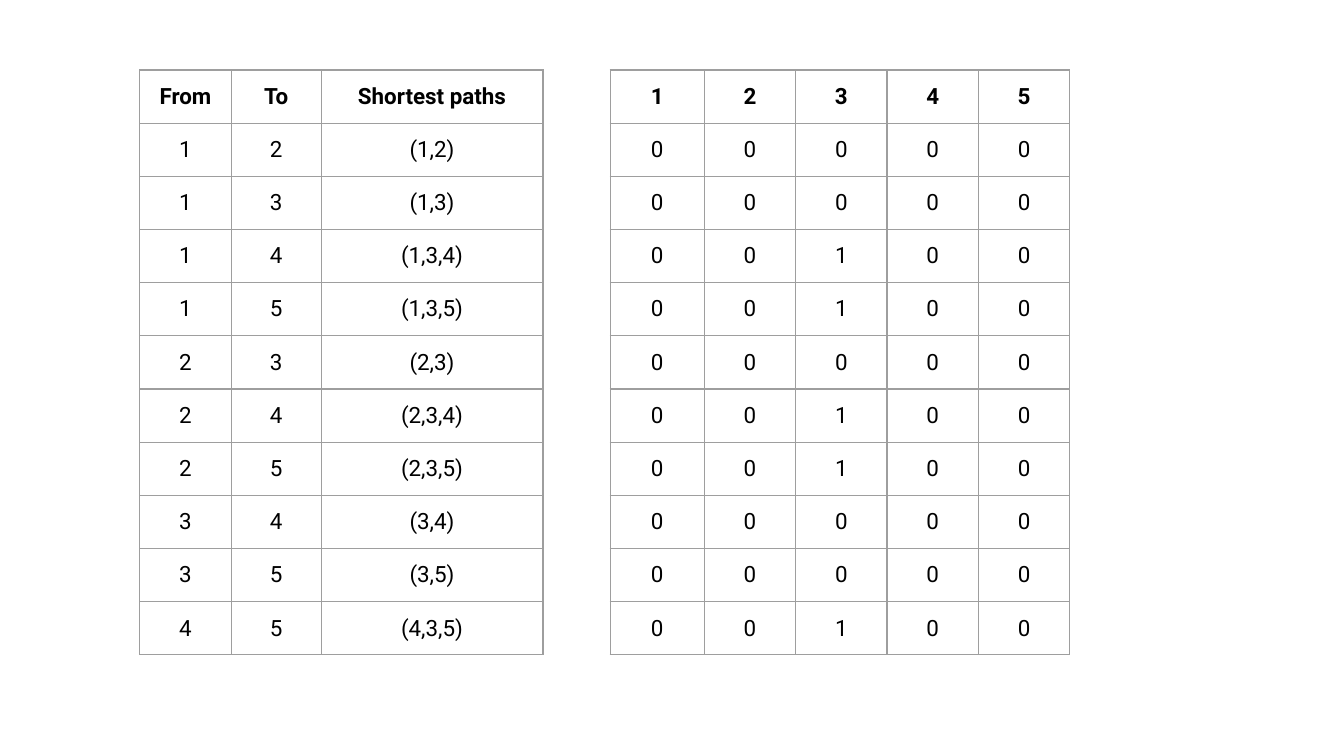
from typing import NamedTuple

from lxml import etree
from pptx import Presentation
from pptx.dml.color import RGBColor
from pptx.enum.text import MSO_ANCHOR, PP_ALIGN
from pptx.oxml.ns import qn
from pptx.util import Inches, Pt

CENTER, MIDDLE = PP_ALIGN.CENTER, MSO_ANCHOR.MIDDLE
BLACK = RGBColor(0x00, 0x00, 0x00)
GREY = RGBColor(0x9E, 0x9E, 0x9E)
WIDE = Inches(10)
HIGH = WIDE * 9 // 16
FONT, SIZE = "Roboto", Pt(12)
INSET, BORDER = Inches(0.1), Pt(0.75)
TOP, ROW = 9.25, 6.58  # percent of slide height

NODES = range(1, 6)
PATHS = [
    (1, 2), (1, 3), (1, 3, 4), (1, 3, 5), (2, 3),
    (2, 3, 4), (2, 3, 5), (3, 4), (3, 5), (4, 3, 5),
]


class Grid(NamedTuple):
    """A table; left edge and columns are percent of slide width."""
    left: float
    cols: list[float]
    rows: list[list[str]]


def share(total: int, percent: float) -> int:
    return round(total * percent / 100)


def edge(cell) -> None:
    """Put a thin grey border on all four sides."""
    props = cell._tc.get_or_add_tcPr()
    for side in ("a:lnL", "a:lnR", "a:lnT", "a:lnB"):
        line = etree.SubElement(props, qn(side), w=str(BORDER))
        fill = etree.SubElement(line, qn("a:solidFill"))
        etree.SubElement(fill, qn("a:srgbClr"), val=str(GREY))


def write(cell, text: str, bold: bool) -> None:
    edge(cell)
    cell.fill.background()
    cell.vertical_anchor = MIDDLE
    cell.margin_left = cell.margin_right = INSET
    cell.margin_top = cell.margin_bottom = INSET
    para = cell.text_frame.paragraphs[0]
    para.alignment = CENTER
    run = para.add_run()
    run.text = text
    run.font.name, run.font.size, run.font.bold = FONT, SIZE, bold
    run.font.color.rgb = BLACK


def draw(slide, grid: Grid) -> None:
    count = len(grid.rows)
    table = slide.shapes.add_table(
        count, len(grid.cols), share(WIDE, grid.left), share(HIGH, TOP),
        share(WIDE, sum(grid.cols)), share(HIGH, ROW * count),
    ).table
    table.first_row = table.horz_banding = False
    for col, width in zip(table.columns, grid.cols):
        col.width = share(WIDE, width)
    for r, (row, texts) in enumerate(zip(table.rows, grid.rows)):
        row.height = share(HIGH, ROW)
        for cell, text in zip(row.cells, texts):
            write(cell, text, bold=r == 0)


def main() -> None:
    deck = Presentation()
    deck.slide_width, deck.slide_height = WIDE, HIGH
    slide = deck.slides.add_slide(deck.slide_layouts[6])

    routes = [["From", "To", "Shortest paths"]]
    routes += [[str(p[0]), str(p[-1]), f"({','.join(map(str, p))})"] for p in PATHS]
    # A node scores 1 where it lies strictly inside the path.
    scores = [[str(n) for n in NODES]]
    scores += [[str(int(n in p[1:-1])) for n in NODES] for p in PATHS]

    draw(slide, Grid(10.4, [6.8, 6.7, 16.5], routes))
    draw(slide, Grid(45.4, [7] + [6.8] * 4, scores))
    deck.save("out.pptx")


if __name__ == "__main__":
    main()
